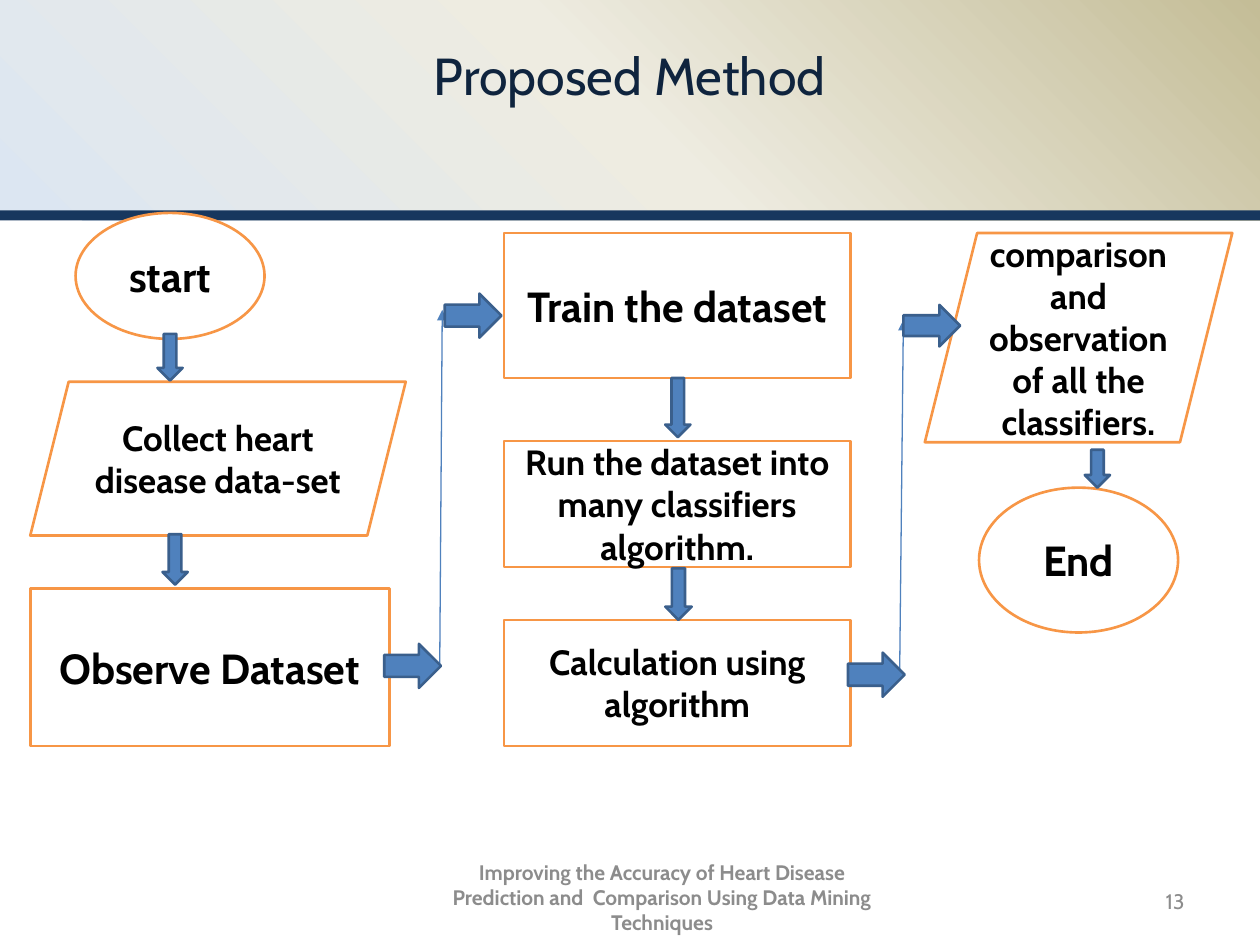
import pptx
import pptx.dml.color
import pptx.enum.shapes
import pptx.enum.text
import pptx.oxml
import pptx.oxml.ns
import pptx.util
from pptx.util import Inches

SHAPE = pptx.enum.shapes.MSO_SHAPE
ALIGN = pptx.enum.text.PP_ALIGN
ANCHOR = pptx.enum.text.MSO_ANCHOR
FONT = "Cabin"
COLORS = {
    "tan": "C4BD97",
    "cream": "EEECE1",
    "pale_blue": "DCE6F2",
    "navy": "17375E",
    "title": "0F243E",
    "footer": "8C8C8C",
    "step_fill": "FFFFFF",
    "step_line": "F79646",
    "step_text": "000000",
    "arrow_fill": "4F81BD",
    "arrow_line": "3A5F8C",
}

STEPS = [
    (SHAPE.OVAL, (0.6, 1.69, 1.5, 1), "start", 24),
    (SHAPE.PARALLELOGRAM, (0.24, 3.03, 2.98, 1.22), "Collect heart disease data-set", 20),
    (SHAPE.RECTANGLE, (0.24, 4.67, 2.85, 1.25), "Observe Dataset", 24),
    (SHAPE.RECTANGLE, (4, 1.85, 2.75, 1.15), "Train the dataset", 24),
    (SHAPE.RECTANGLE, (4, 3.5, 2.75, 1), "Run the dataset into many classifiers algorithm.", 20),
    (SHAPE.RECTANGLE, (4, 4.92, 2.75, 1), "Calculation using algorithm", 20),
    (SHAPE.PARALLELOGRAM, (7.34, 1.85, 2.44, 1.66),
     "comparison and observation of all the classifiers.", 20),
    (SHAPE.OVAL, (7.77, 3.87, 1.58, 1.15), "End", 24),
]
DOWN_ARROWS = [
    (1.25, 2.65, 0.2, 0.37),
    (1.29, 4.24, 0.2, 0.4),
    (5.28, 3, 0.2, 0.47),
    (5.28, 4.51, 0.21, 0.41),
    (8.61, 3.57, 0.2, 0.3),
]
RIGHT_ARROWS = [
    (3.05, 5.11, 0.45, 0.35),
    (3.53, 2.33, 0.45, 0.35),
    (6.73, 5.18, 0.45, 0.35),
    (7.17, 2.42, 0.45, 0.33),
]
RISERS = [
    (3.49, 5.3, 3.51, 2.46),
    (7.14, 5.38, 7.17, 2.54),
]


def rgb(name):
    return pptx.dml.color.RGBColor.from_string(COLORS[name])


def drawing_element(xml):
    return pptx.oxml.parse_xml(xml.replace(">", " " + pptx.oxml.ns.nsdecls("a") + ">", 1))


def write_text(frame, text, size, color, bold=False, align=ALIGN.CENTER, anchor=ANCHOR.MIDDLE):
    frame.word_wrap = True
    frame.vertical_anchor = anchor
    frame.text = text
    paragraph = frame.paragraphs[0]
    paragraph.alignment = align
    font = paragraph.runs[0].font
    font.name = FONT
    font.size = pptx.util.Pt(size)
    font.bold = bold
    font.color.rgb = rgb(color)


def add_label(slide, box, text, size, color, **style):
    label = slide.shapes.add_textbox(*map(Inches, box))
    write_text(label.text_frame, text, size, color, **style)


def add_block(slide, kind, box, fill, line=None):
    block = slide.shapes.add_shape(kind, *map(Inches, box))
    block.shadow.inherit = False
    block.fill.solid()
    block.fill.fore_color.rgb = rgb(fill)
    if line:
        block.line.color.rgb = rgb(line)
        block.line.width = pptx.util.Pt(1.5)
    else:
        block.line.fill.background()
    return block


def add_header(slide):
    banner = add_block(slide, SHAPE.RECTANGLE, (0, 0, 10, 1.75), "cream")
    stops = "".join(
        f'<a:gs pos="{position * 1000}"><a:srgbClr val="{COLORS[name]}"/></a:gs>'
        for position, name in ((0, "tan"), (50, "cream"), (100, "pale_blue"))
    )
    gradient = drawing_element(
        f'<a:gradFill><a:gsLst>{stops}</a:gsLst><a:path path="circle">'
        '<a:fillToRect l="100000" b="100000"/></a:path></a:gradFill>'
    )
    properties = banner.element.spPr
    solid = properties.find(pptx.oxml.ns.qn("a:solidFill"))
    properties.replace(solid, gradient)
    add_block(slide, SHAPE.RECTANGLE, (0, 1.67, 10, 0.08), "navy")
    add_label(slide, (0.5, 0.3, 9, 1.25), "Proposed Method", 29.7, "title", anchor=ANCHOR.TOP)


def add_step(slide, kind, box, text, size):
    step = add_block(slide, kind, box, "step_fill", "step_line")
    write_text(step.text_frame, text, size, "step_text", bold=True)


def add_riser(slide, ends):
    riser = slide.shapes.add_connector(
        pptx.enum.shapes.MSO_CONNECTOR.STRAIGHT, *map(Inches, ends))
    riser.line.color.rgb = rgb("arrow_fill")
    riser.line.width = pptx.util.Pt(0.75)
    riser.line._get_or_add_ln().append(drawing_element('<a:tailEnd type="triangle"></a:tailEnd>'))
    riser.element.spPr.append(drawing_element("<a:effectLst></a:effectLst>"))


def add_footer(slide):
    add_label(
        slide, (3.42, 6.92, 3.67, 0.4),
        "Improving the Accuracy of Heart Disease Prediction and  Comparison "
        "Using Data Mining Techniques",
        12, "footer", bold=True)
    add_label(slide, (7.17, 6.95, 2.33, 0.4), "13", 12, "footer", align=ALIGN.RIGHT)


def main():
    deck = pptx.Presentation()
    deck.slide_width, deck.slide_height = Inches(10), Inches(7.5)
    slide = deck.slides.add_slide(deck.slide_layouts[6])
    add_header(slide)
    for step in STEPS:
        add_step(slide, *step)
    for box in DOWN_ARROWS:
        add_block(slide, SHAPE.DOWN_ARROW, box, "arrow_fill", "arrow_line")
    for ends in RISERS:
        add_riser(slide, ends)
    for box in RIGHT_ARROWS:
        add_block(slide, SHAPE.RIGHT_ARROW, box, "arrow_fill", "arrow_line")
    add_footer(slide)
    deck.save("out.pptx")


if __name__ == "__main__":
    main()
